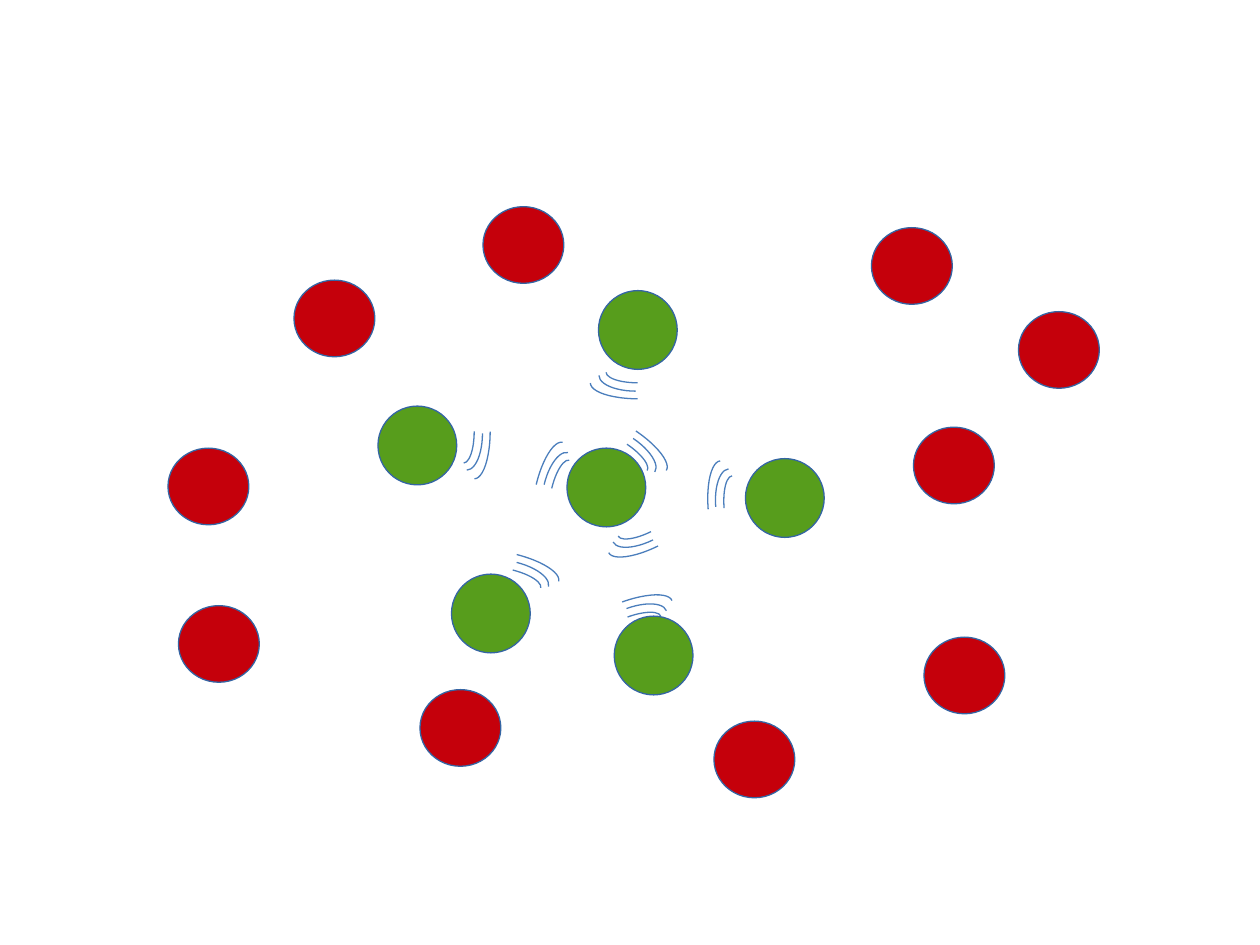
from dataclasses import dataclass
from math import cos, radians, sin
from typing import NamedTuple

from pptx import Presentation
from pptx import util as u
from pptx.dml.color import RGBColor
from pptx.enum import shapes as kinds

CELL = 1 / 12  # inches per grid column or row
TOP_MARGIN = 1.64  # inches above grid row 0


@dataclass(frozen=True)
class Theme:
    active: RGBColor = RGBColor.from_string("579D1C")
    idle: RGBColor = RGBColor.from_string("C5000B")
    node_outline: RGBColor = RGBColor.from_string("3465A4")
    wave: RGBColor = RGBColor.from_string("4B7EBC")
    line_width: u.Pt = u.Pt(0.75)


class NodeStyle(NamedTuple):
    columns: float
    rows: float
    fill: RGBColor


class Ripple(NamedTuple):
    """One arc of a wave; shifts are measured along the wave's own axes."""
    columns: float
    rows: float
    shift_across: float
    shift_out: float


class Wave(NamedTuple):
    """Grid position of the innermost ripple's centre, and the wave's rotation."""
    column: float
    row: float
    angle: float


THEME = Theme()
ACTIVE = NodeStyle(7.5, 7.5, THEME.active)
IDLE = NodeStyle(7.7, 7.3, THEME.idle)

ACTIVE_CELLS = [(58.5, 39), (71, 24), (54, 23), (57, 8), (36, 19), (43, 35)]
IDLE_CELLS = [(16, 23), (40, 46), (28, 7), (46, 0), (83, 2),
              (87, 21), (88, 41), (68, 49), (97, 10), (17, 38)]

RIPPLES = [Ripple(6, 2, 0, 0), Ripple(7, 3, 0.18, -0.29), Ripple(9, 3, 0, -1.02)]
WAVES = [
    Wave(60.72, 15.78, 180),
    Wave(44.16, 21.42, 90),
    Wave(53.52, 27.06, 283.5),
    Wave(61.56, 30.06, 153.8),
    Wave(59.16, 23.46, 34),
    Wave(69.96, 28.62, 265.5),
    Wave(60.12, 40.02, 339.9),
    Wave(48.6, 35.58, 14),
]


def add_outlined(slide, kind, column: float, row: float,
                 columns: float, rows: float, line_color: RGBColor):
    """Place a preset shape on the grid with a thin outline and no shadow."""
    shape = slide.shapes.add_shape(
        kind, u.Inches(column * CELL), u.Inches(TOP_MARGIN + row * CELL),
        u.Inches(columns * CELL), u.Inches(rows * CELL))
    shape.shadow.inherit = False
    shape.line.color.rgb = line_color
    shape.line.width = THEME.line_width
    return shape


def draw_node(slide, column: float, row: float, style: NodeStyle) -> None:
    node = add_outlined(slide, kinds.MSO_SHAPE.OVAL, column, row,
                        style.columns, style.rows, THEME.node_outline)
    node.fill.solid()
    node.fill.fore_color.rgb = style.fill


def draw_wave(slide, wave: Wave) -> None:
    turn_cos, turn_sin = cos(radians(wave.angle)), sin(radians(wave.angle))
    for ripple in RIPPLES:
        across, out = ripple.shift_across, ripple.shift_out
        center_column = wave.column + across * turn_cos - out * turn_sin
        center_row = wave.row + across * turn_sin + out * turn_cos
        arc = add_outlined(slide, kinds.MSO_SHAPE.ARC,
                           center_column - ripple.columns / 2,
                           center_row - ripple.rows / 2,
                           ripple.columns, ripple.rows, THEME.wave)
        arc.fill.background()
        arc.rotation = wave.angle


def main() -> None:
    deck = Presentation()
    deck.slide_width, deck.slide_height = u.Inches(10), u.Inches(7.5)
    slide = deck.slides.add_slide(deck.slide_layouts[6])
    for style, cells in ((IDLE, IDLE_CELLS), (ACTIVE, ACTIVE_CELLS)):
        for column, row in cells:
            draw_node(slide, column, row, style)
    for wave in WAVES:
        draw_wave(slide, wave)
    deck.save("out.pptx")


if __name__ == "__main__":
    main()
